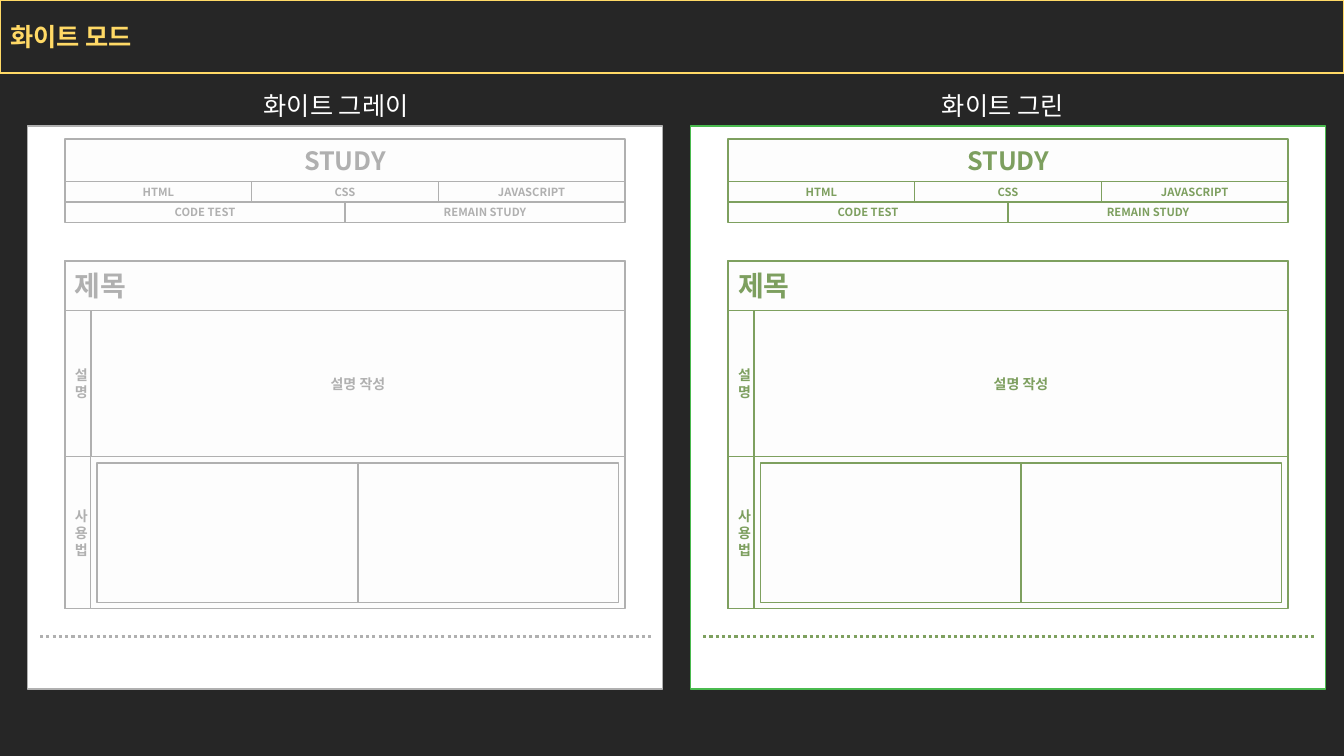
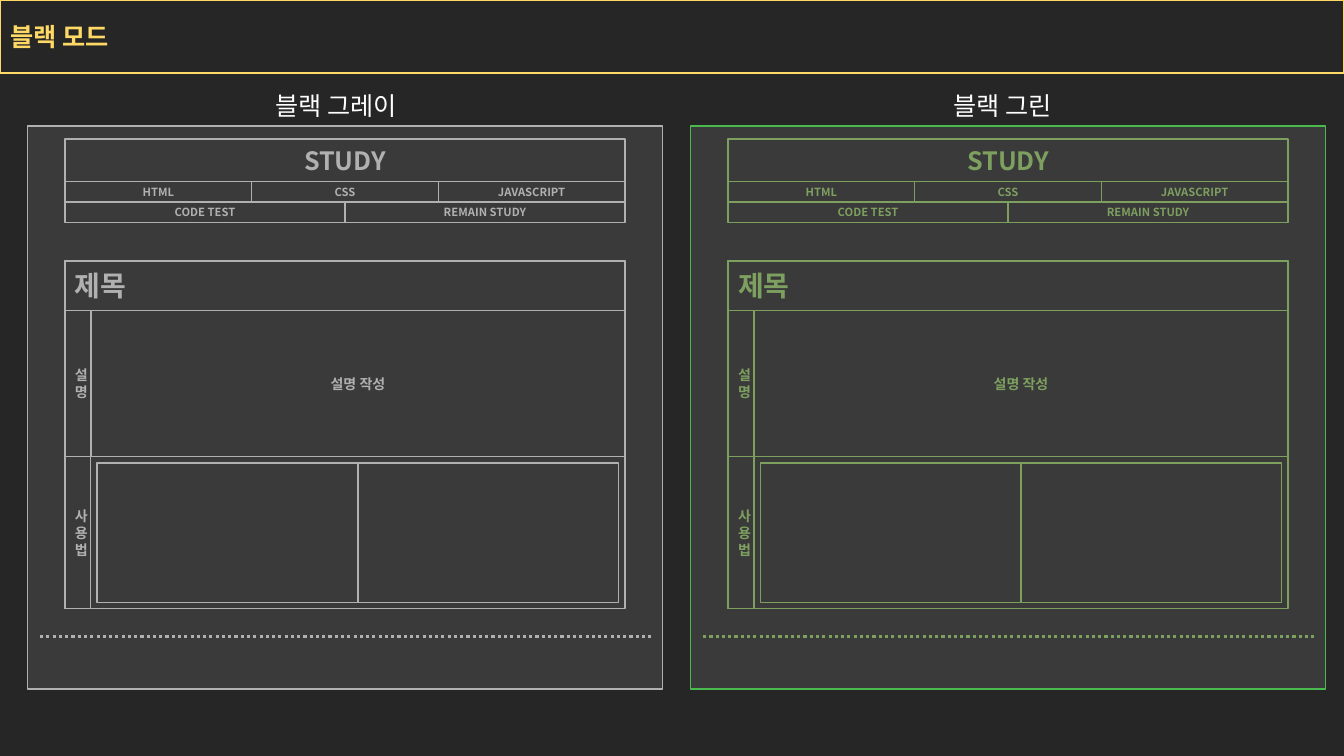
import pptx
import pptx.util
import pptx.dml.color
import pptx.enum.dml
import pptx.enum.shapes
import pptx.enum.text
import pptx.oxml.ns
import lxml.etree
from dataclasses import dataclass

Cm = pptx.util.Cm
Pt = pptx.util.Pt
Align = pptx.enum.text.PP_ALIGN
Anchor = pptx.enum.text.MSO_ANCHOR
qn = pptx.oxml.ns.qn

# Content
MODES = [
    {"title": "화이트 모드", "page": "FFFFFF", "cell": "FDFDFD",
     "heads": ["화이트 그레이", "화이트 그린"]},
    {"title": "블랙 모드", "page": "3A3A3A", "cell": "3A3A3A",
     "heads": ["블랙 그레이", "블랙 그린"]},
]
TONES = [  # left edge, centre of heading, colours
    {"left": 0.69, "mid": 8.47, "edge": "B0B0B0", "line": "B0B0B0", "ink": "B0B0B0"},
    {"left": 17.4, "mid": 25.27, "edge": "4ABA4F", "line": "7EA05F", "ink": "7D9F5F"},
]
MENU = [["HTML", "CSS", "JAVASCRIPT"], ["CODE TEST", "REMAIN STUDY"]]


@dataclass
class Theme:
    font: str = "Noto Sans CJK KR"
    back: str = "262626"
    gold: str = "FFD966"
    white: str = "FFFFFF"
    head: int = 18
    name: int = 20
    body: int = 10
    menu: int = 8
    thin: float = 1
    dots: float = 2.25


T = Theme()


def rgb(code):
    return pptx.dml.color.RGBColor.from_string(code)


def write(shape, text, size, ink, bold=True, align=Align.CENTER):
    frame = shape.text_frame
    frame.word_wrap = True
    frame.auto_size = pptx.enum.text.MSO_AUTO_SIZE.NONE
    frame.vertical_anchor = Anchor.MIDDLE
    frame.text = text
    para = frame.paragraphs[0]
    para.alignment = align
    for run in para.runs:
        font = run.font
        font.name, font.size, font.bold = T.font, Pt(size), bold
        font.color.rgb = rgb(ink)
        east = lxml.etree.SubElement(run._r.get_or_add_rPr(), qn("a:ea"))
        east.set("typeface", T.font)


def paint(shape, fill, line):
    shape.fill.solid()
    shape.fill.fore_color.rgb = rgb(fill)
    shape.line.color.rgb = rgb(line)
    shape.line.width = Pt(T.thin)


def box(slide, area, fill, line):
    shape = slide.shapes.add_shape(
        pptx.enum.shapes.MSO_SHAPE.RECTANGLE, *map(Cm, area))
    shape.shadow.inherit = False
    paint(shape, fill, line)
    return shape


def band(slide, text):
    title = slide.shapes.title
    title.left, title.top, title.width, title.height = map(Cm, (0, 0, 33.87, 1.84))
    paint(title, T.back, T.gold)
    write(title, text, T.head, T.gold, align=Align.LEFT)


def dots(slide, left, right, top, color):
    line = slide.shapes.add_connector(
        pptx.enum.shapes.MSO_CONNECTOR.STRAIGHT, *map(Cm, (left, top, right, top)))
    line.line.color.rgb = rgb(color)
    line.line.width = Pt(T.dots)
    line.line.dash_style = pptx.enum.dml.MSO_LINE.ROUND_DOT
    lxml.etree.SubElement(line._element.spPr, qn("a:effectLst"))


def panel(slide, mode, tone, head):
    left = tone["left"]
    x, wide = left + 0.95, 14.11

    def cell(area, text="", size=T.body, align=Align.CENTER):
        shape = box(slide, area, mode["cell"], tone["line"])
        if text:
            write(shape, text, size, tone["ink"], align=align)

    # Page and its heading
    box(slide, (left, 3.18, 16, 14.18), mode["page"], tone["edge"])
    label = slide.shapes.add_textbox(*map(Cm, (tone["mid"] - 3, 2.14, 6, 1.03)))
    write(label, head, T.head, T.white, bold=False)

    # Menu: each row splits the width evenly
    cell((x, 3.5, wide, 1.07), "STUDY", T.head)
    high = 0.52
    for row, names in enumerate(MENU):
        step = wide / len(names)
        for col, name in enumerate(names):
            cell((x + col * step, 4.57 + row * high, step, high), name, T.menu)

    # Article: title row, then two labelled rows
    side, pad = 0.65, 0.16
    top, mid, low, end = 6.58, 7.82, 11.51, 15.34
    inner = wide - side
    cell((x, top, wide, end - top))
    cell((x, top, wide, mid - top), "제목", T.name, Align.LEFT)
    cell((x, mid, side, low - mid), "설명")
    cell((x, low, side, end - low), "사용법")
    cell((x + side, mid, inner, low - mid), "설명 작성")
    half = (inner - 2 * pad) / 2
    for col in range(2):
        cell((x + side + pad + col * half, low + pad, half, end - low - 2 * pad))

    dots(slide, left + 0.32, left + 15.8, 16.03, tone["line"])


def main():
    deck = pptx.Presentation()
    deck.slide_width, deck.slide_height = Cm(33.87), Cm(19.05)
    back = deck.slide_master.background.fill
    back.solid()
    back.fore_color.rgb = rgb(T.back)
    for mode in MODES:
        slide = deck.slides.add_slide(deck.slide_layouts[5])
        band(slide, mode["title"])
        for tone, head in zip(TONES, mode["heads"]):
            panel(slide, mode, tone, head)
    deck.save("out.pptx")


if __name__ == "__main__":
    main()
